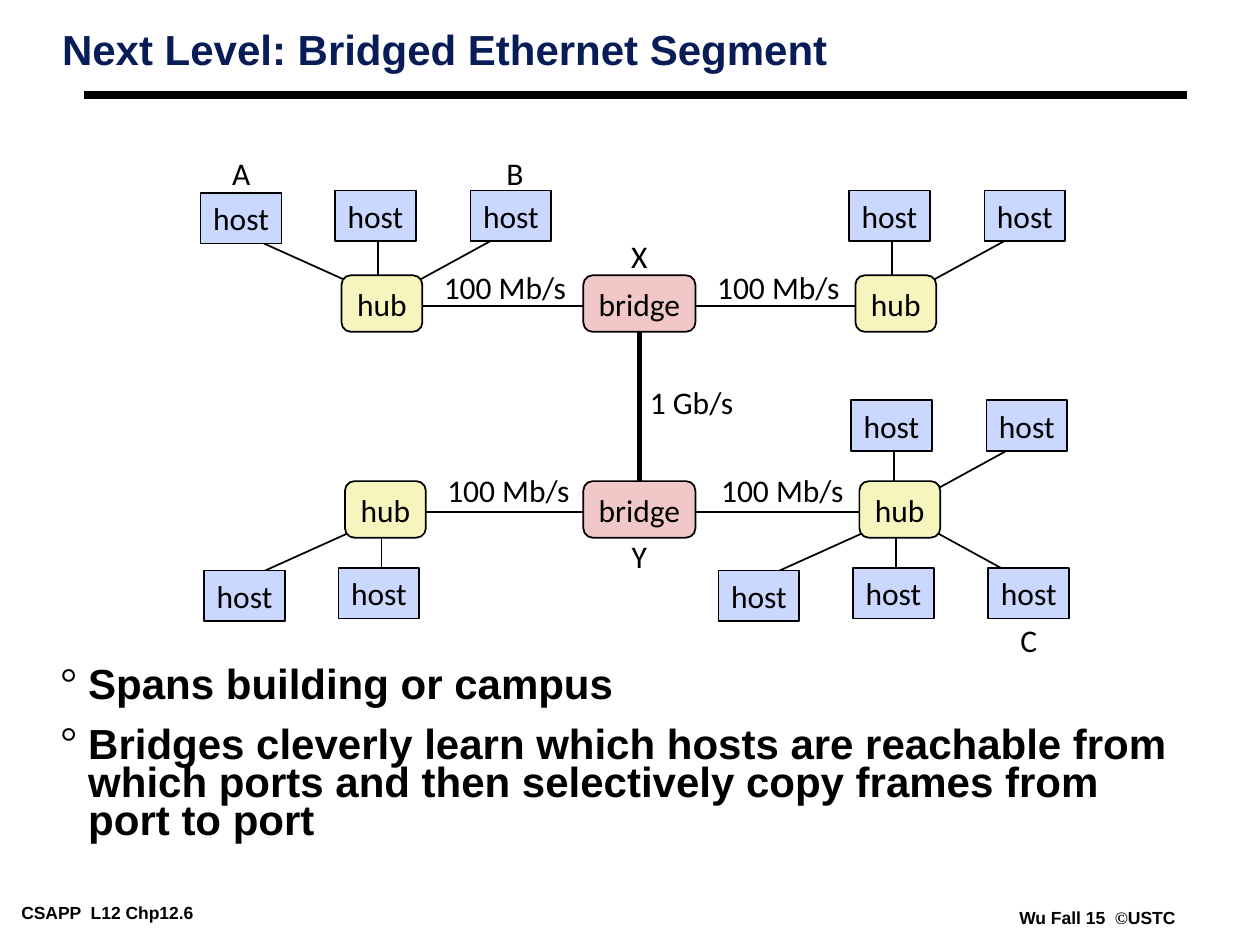
from lxml import etree
from pptx import Presentation
from pptx.dml.color import RGBColor
from pptx.enum.shapes import MSO_CONNECTOR, MSO_SHAPE
from pptx.enum.text import MSO_ANCHOR, PP_ALIGN
from pptx.oxml.ns import qn
from pptx.util import Cm, Pt

BLACK = RGBColor(0, 0, 0)
NAVY = RGBColor(0x08, 0x1D, 0x58)
BLUE = RGBColor(0xCA, 0xD7, 0xFE)
YELLOW = RGBColor(0xF6, 0xF5, 0xBD)
PINK = RGBColor(0xF1, 0xC7, 0xC7)

RECT, ROUNDED = MSO_SHAPE.RECTANGLE, MSO_SHAPE.ROUNDED_RECTANGLE
STRAIGHT = MSO_CONNECTOR.STRAIGHT
LEFT, CENTER = PP_ALIGN.LEFT, PP_ALIGN.CENTER
TOP, MIDDLE = MSO_ANCHOR.TOP, MSO_ANCHOR.MIDDLE

LABEL = dict(name="Calibri", size=Pt(18), bold=False)
HEADING = dict(name="Arial", size=Pt(24), bold=True)
FOOTER = dict(name="Arial", size=Pt(10), bold=True)
SYMBOL = dict(FOOTER, name="Times New Roman")

# kind: shape, width, height, fill
NODES = {
    "host": (RECT, 1.63, 1.02, BLUE),
    "hub": (ROUNDED, 1.63, 1.14, YELLOW),
    "bridge": (ROUNDED, 2.26, 1.14, PINK),
}
# position of a host around its hub: host dx, host drop,
# then the x offset and y distance of both link ends
SPOTS = {
    "left": (-2.84, 0.05, -0.51, 0.37, -2.82),
    "mid": (-0.13, 0, -0.08, 0.57, -0.08),
    "right": (2.6, 0, 0.56, 0.37, 2.46),
}
ABOVE, BELOW = -1, 1
BRIDGE_X = 12.89


class Deck:
    def __init__(self):
        self.prs = Presentation()
        self.prs.slide_width, self.prs.slide_height = Cm(25.4), Cm(19.05)
        self.s = self.prs.slides.add_slide(self.prs.slide_layouts[5])

    def frame(self, tf, anchor=TOP, wrap=False, pad=(0.18, 0.08)):
        tf.word_wrap, tf.vertical_anchor = wrap, anchor
        tf.margin_left = tf.margin_right = Cm(pad[0])
        tf.margin_top = tf.margin_bottom = Cm(pad[1])
        return tf

    def run(self, p, text, style, color=BLACK):
        r = p.add_run()
        r.text = text
        for key, value in style.items():
            setattr(r.font, key, value)
        r.font.color.rgb = color

    def title(self, text):
        sp = self.s.shapes.title
        sp.left, sp.top, sp.width, sp.height = Cm(1.07), Cm(0.53), Cm(22.83), Cm(1.6)
        p = self.frame(sp.text_frame, wrap=True).paragraphs[0]
        p.alignment, p.line_spacing = LEFT, 0.87
        self.run(p, text, HEADING, NAVY)

    def bullets(self, items):
        """Add (text, line spacing, space before) paragraphs with hanging bullets."""
        sp = self.s.shapes.add_textbox(Cm(1.04), Cm(13.34), Cm(23.09), Cm(3.71))
        tf = self.frame(sp.text_frame, wrap=True)
        for i, (text, spacing, before) in enumerate(items):
            p = tf.add_paragraph() if i else tf.paragraphs[0]
            pPr = p._p.get_or_add_pPr()
            pPr.set("marL", str(Cm(0.56)))
            pPr.set("indent", str(-Cm(0.56)))
            etree.SubElement(pPr, qn("a:buFont"), typeface="Times New Roman")
            etree.SubElement(pPr, qn("a:buChar"), char="°")
            p.line_spacing = spacing
            if before:
                p.space_before = Pt(before)
            self.run(p, text, HEADING)

    def footer(self, x, y, w, runs):
        sp = self.s.shapes.add_textbox(Cm(x), Cm(y), Cm(w), Cm(0.56))
        p = self.frame(sp.text_frame).paragraphs[0]
        for text, style in runs:
            self.run(p, text, style)

    def line(self, x1, y1, x2, y2, width=1):
        c = self.s.shapes.add_connector(STRAIGHT, Cm(x1), Cm(y1), Cm(x2), Cm(y2))
        c.line.color.rgb, c.line.width = BLACK, Pt(width)
        etree.SubElement(c._element.spPr, qn("a:effectLst"))

    def caption(self, sp, text):
        p = self.frame(sp.text_frame, MIDDLE, pad=(0.25, 0.13)).paragraphs[0]
        p.alignment = CENTER
        self.run(p, text, LABEL)

    def label(self, x, y, text, w=0.84):
        self.caption(self.s.shapes.add_textbox(Cm(x - w / 2), Cm(y - 0.51), Cm(w), Cm(1.02)), text)

    def node(self, kind, x, y):
        shape, w, h, fill = NODES[kind]
        sp = self.s.shapes.add_shape(shape, Cm(x - w / 2), Cm(y - h / 2), Cm(w), Cm(h))
        sp.shadow.inherit = False
        sp.fill.solid()
        sp.fill.fore_color.rgb = fill
        sp.line.color.rgb, sp.line.width = BLACK, Pt(1)
        self.caption(sp, kind)

    def hosts(self, x, y, side, spots):
        """Link hosts to the hub at x, y on one side of it."""
        for spot in spots.split():
            dx, drop, near_x, near_y, far_x = SPOTS[spot]
            self.line(x + near_x, y + side * near_y, x + far_x, y + side * 1.41)
            self.node("host", x + dx, y + side * 1.73 - 0.04 + drop)

    def segment(self, left_hub, right_hub, y, label_rise):
        """Join two hubs through a bridge with labelled 100 Mb/s links."""
        link_y = y + 0.05
        self.line(left_hub, link_y, BRIDGE_X, link_y)
        self.line(BRIDGE_X, link_y, right_hub, link_y)
        self.node("bridge", BRIDGE_X, y)
        for hub, dx in ((left_hub, 2.48), (right_hub, -2.37)):
            self.node("hub", hub, y)
            self.label(hub + dx, link_y - label_rise, "100 Mb/s", 2.97)


def main():
    deck = Deck()
    deck.title("Next Level: Bridged Ethernet Segment")
    deck.line(1.7, 1.91, 23.93, 1.91, 4.5)
    deck.footer(0.25, 18.11, 5.33, [("CSAPP  L12 Chp12.6", FOOTER)])
    deck.footer(20.37, 18.21, 3.51, [("Wu Fall 15  ", FOOTER), ("©", SYMBOL), ("USTC", FOOTER)])

    deck.line(BRIDGE_X, 6.65, BRIDGE_X, 9.7, 3)
    deck.label(13.94, 8.1, "1 Gb/s", 2.18)

    for x, y, side, spots in (
        (7.7, 6.12, ABOVE, "left mid right"),
        (18.06, 6.12, ABOVE, "mid right"),
        (7.77, 10.27, BELOW, "left mid"),
        (18.14, 10.27, BELOW, "left mid right"),
        (18.1, 10.35, ABOVE, "mid right"),
    ):
        deck.hosts(x, y, side, spots)
    deck.segment(7.7, 18.06, 6.12, 0.38)
    deck.segment(7.77, 18.14, 10.27, 0.44)

    for text, x, y in (("A", 4.85, 3.48), ("B", 10.38, 3.48), ("C", 20.74, 12.9),
                       ("X", BRIDGE_X, 5.16), ("Y", BRIDGE_X, 11.2)):
        deck.label(x, y, text)

    deck.bullets([
        ("Spans building or campus", 0.85, 0),
        ("Bridges cleverly learn which hosts are reachable from which ports "
         "and then selectively copy frames from port to port", 0.75, 12),
    ])
    deck.prs.save("out.pptx")


if __name__ == "__main__":
    main()
